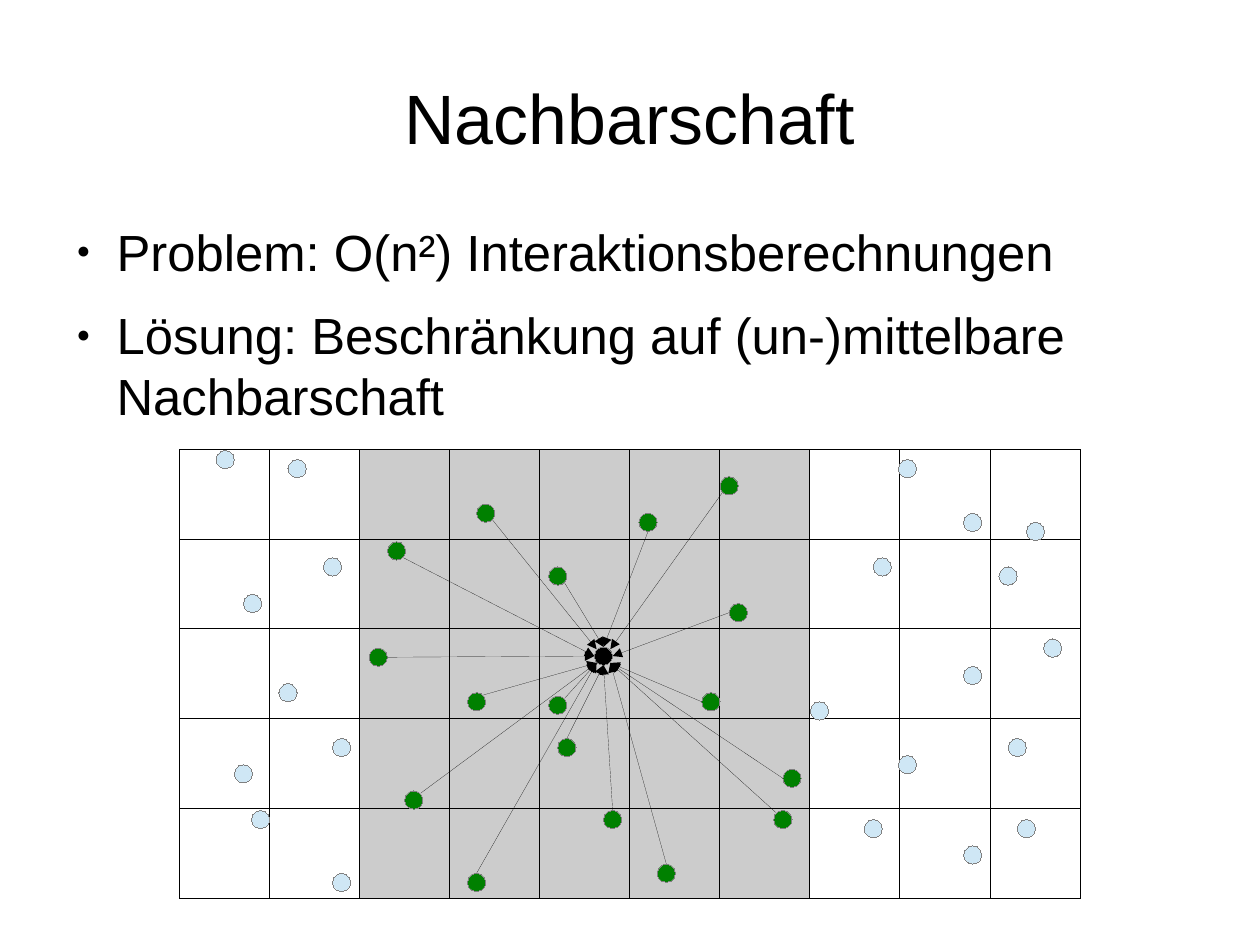
from dataclasses import dataclass

from lxml import etree
from pptx import Presentation
from pptx.dml.color import RGBColor
from pptx.enum.shapes import MSO_CONNECTOR, MSO_SHAPE
from pptx.enum.text import MSO_ANCHOR, PP_ALIGN
from pptx.oxml.ns import qn
from pptx.util import Inches, Pt

STRAIGHT = MSO_CONNECTOR.STRAIGHT
ELLIPSE = MSO_SHAPE.OVAL
PROCESS = MSO_SHAPE.FLOWCHART_PROCESS
TOP, MIDDLE = MSO_ANCHOR.TOP, MSO_ANCHOR.MIDDLE
LEFT, CENTER = PP_ALIGN.LEFT, PP_ALIGN.CENTER


@dataclass(frozen=True)
class Theme:
    font: str = "Arial"
    title_size: int = 44
    body_size: int = 32
    hairline: float = 0.01
    ink: str = "000000"
    region: str = "CCCCCC"
    outline: str = "808080"
    distant: str = "CFE7F5"
    neighbour: str = "008000"


THEME = Theme()

CM_PER_INCH = 2.54
PAGE_WIDTH, PAGE_HEIGHT = 28 / CM_PER_INCH, 21 / CM_PER_INCH

GRID_LEFT, GRID_TOP = 1.57, 3.93
GRID_WIDTH, GRID_HEIGHT = 7.88, 3.93
COLUMNS, ROWS = 10, 5
CELL_WIDTH, CELL_HEIGHT = GRID_WIDTH / COLUMNS, GRID_HEIGHT / ROWS
REGION_START, REGION_END = 2, 7

RADIUS = 0.08
DIAGONAL = 0.06
COMPASS = {
    "N": (0, -RADIUS), "S": (0, RADIUS), "W": (-RADIUS, 0), "E": (RADIUS, 0),
    "NW": (-DIAGONAL, -DIAGONAL), "NE": (DIAGONAL, -DIAGONAL),
    "SW": (-DIAGONAL, DIAGONAL), "SE": (DIAGONAL, DIAGONAL),
}

AGENT = (5.28, 5.74)
NEIGHBOURS = [
    (4.88, 5.04, "SE", "N"), (4.25, 4.49, "SE", "NW"),
    (3.47, 4.82, "SE", "W"), (3.31, 5.75, "E", "W"),
    (4.17, 6.14, "NE", "SW"), (3.62, 7.0, "NE", "SW"),
    (4.88, 6.17, "NE", "SW"), (4.17, 7.72, "N", "SW"),
    (4.96, 6.54, "N", "S"), (5.36, 7.17, "N", "S"),
    (5.83, 7.64, "N", "SE"), (6.85, 7.17, "NW", "SE"),
    (6.93, 6.81, "W", "SE"), (6.22, 6.14, "W", "SE"),
    (6.46, 5.36, "W", "E"), (5.67, 4.57, "S", "N"),
    (6.38, 4.25, "SW", "NE"),
]
DISTANT = [
    (2.6, 4.1), (2.91, 4.96), (2.52, 6.06), (2.21, 5.28), (1.97, 4.02),
    (2.13, 6.77), (2.99, 6.54), (2.99, 7.72), (2.28, 7.17), (7.72, 4.96),
    (7.17, 6.22), (7.94, 4.1), (8.51, 5.91), (7.94, 6.69), (8.51, 4.57),
    (8.9, 6.54), (9.06, 4.65), (8.82, 5.04), (9.21, 5.67), (7.64, 7.25),
    (8.51, 7.48), (8.98, 7.25),
]


def color(value):
    return RGBColor.from_string(value)


def apply(target, values):
    for name, value in values.items():
        setattr(target, name, value)


def add_bullet(para):
    properties = para._p.get_or_add_pPr()
    indents = {"marL": Inches(0.47), "indent": Inches(-0.35)}
    for name, value in indents.items():
        properties.set(name, str(int(value)))
    tint = etree.SubElement(properties, qn("a:buClr"))
    etree.SubElement(tint, qn("a:srgbClr"), val=THEME.ink)
    etree.SubElement(properties, qn("a:buSzPct"), val="45000")
    etree.SubElement(properties, qn("a:buFont"), typeface=THEME.font)
    etree.SubElement(properties, qn("a:buChar"), char="●")


def add_text(page, bounds, lines, size, align=LEFT, anchor=TOP,
             bulleted=False, space_after=0):
    box = page.shapes.add_textbox(*map(Inches, bounds))
    frame = box.text_frame
    apply(frame, {
        "word_wrap": True, "vertical_anchor": anchor, "margin_left": 0,
        "margin_right": 0, "margin_top": 0, "margin_bottom": 0,
    })
    for index, line in enumerate(lines):
        para = frame.add_paragraph() if index else frame.paragraphs[0]
        apply(para, {"alignment": align, "space_after": Pt(space_after)})
        if bulleted:
            add_bullet(para)
        span = para.add_run()
        span.text = line
        apply(span.font, {"name": THEME.font, "size": Pt(size)})
        span.font.color.rgb = color(THEME.ink)


def set_hairline(shape, value):
    shape.line.color.rgb = color(value)
    shape.line.width = Pt(THEME.hairline)


def add_line(page, start, end, arrow=False):
    line = page.shapes.add_connector(
        STRAIGHT, *map(Inches, (*start, *end)))
    set_hairline(line, THEME.ink)
    if arrow:
        etree.SubElement(line.line._get_or_add_ln(), qn("a:tailEnd"),
                         type="triangle")
    etree.SubElement(line._element.spPr, qn("a:effectLst"))


def add_filled(page, kind, bounds, fill, outline=None):
    shape = page.shapes.add_shape(kind, *map(Inches, bounds))
    shape.shadow.inherit = False
    shape.fill.solid()
    shape.fill.fore_color.rgb = color(fill)
    if outline:
        set_hairline(shape, outline)
    else:
        shape.line.fill.background()


def add_dot(page, x, y, fill):
    bounds = (x - RADIUS, y - RADIUS, 2 * RADIUS, 2 * RADIUS)
    add_filled(page, ELLIPSE, bounds, fill, THEME.outline)


def add_region(page):
    bounds = (GRID_LEFT + REGION_START * CELL_WIDTH, GRID_TOP,
              (REGION_END - REGION_START) * CELL_WIDTH, GRID_HEIGHT)
    add_filled(page, PROCESS, bounds, THEME.region)


def add_grid(page):
    right, bottom = GRID_LEFT + GRID_WIDTH, GRID_TOP + GRID_HEIGHT
    for row in range(ROWS + 1):
        y = GRID_TOP + row * CELL_HEIGHT
        add_line(page, (GRID_LEFT, y), (right, y))
    for column in range(COLUMNS + 1):
        x = GRID_LEFT + column * CELL_WIDTH
        add_line(page, (x, GRID_TOP), (x, bottom))


def rim_point(center, side):
    return tuple(c + offset for c, offset in zip(center, COMPASS[side]))


def add_agents(page):
    for x, y in DISTANT:
        add_dot(page, x, y, THEME.distant)
    for x, y, *_ in NEIGHBOURS:
        add_dot(page, x, y, THEME.neighbour)
    add_dot(page, *AGENT, THEME.ink)


def add_interactions(page):
    for x, y, leaving, arriving in NEIGHBOURS:
        add_line(page, rim_point((x, y), leaving),
                 rim_point(AGENT, arriving), arrow=True)


def main():
    deck = Presentation()
    deck.slide_width = Inches(PAGE_WIDTH)
    deck.slide_height = Inches(PAGE_HEIGHT)
    page = deck.slides.add_slide(deck.slide_layouts[6])
    add_region(page)
    add_text(page, (0.55, 0.33, 9.92, 1.38), ["Nachbarschaft"],
             THEME.title_size, align=CENTER, anchor=MIDDLE)
    add_text(page, (0.55, 1.93, 9.7, 4.79), [
        "Problem: O(n²) Interaktionsberechnungen",
        "Lösung: Beschränkung auf (un-)mittelbare Nachbarschaft",
    ], THEME.body_size, bulleted=True, space_after=14.2)
    add_grid(page)
    add_agents(page)
    add_interactions(page)
    deck.save("out.pptx")


if __name__ == "__main__":
    main()
